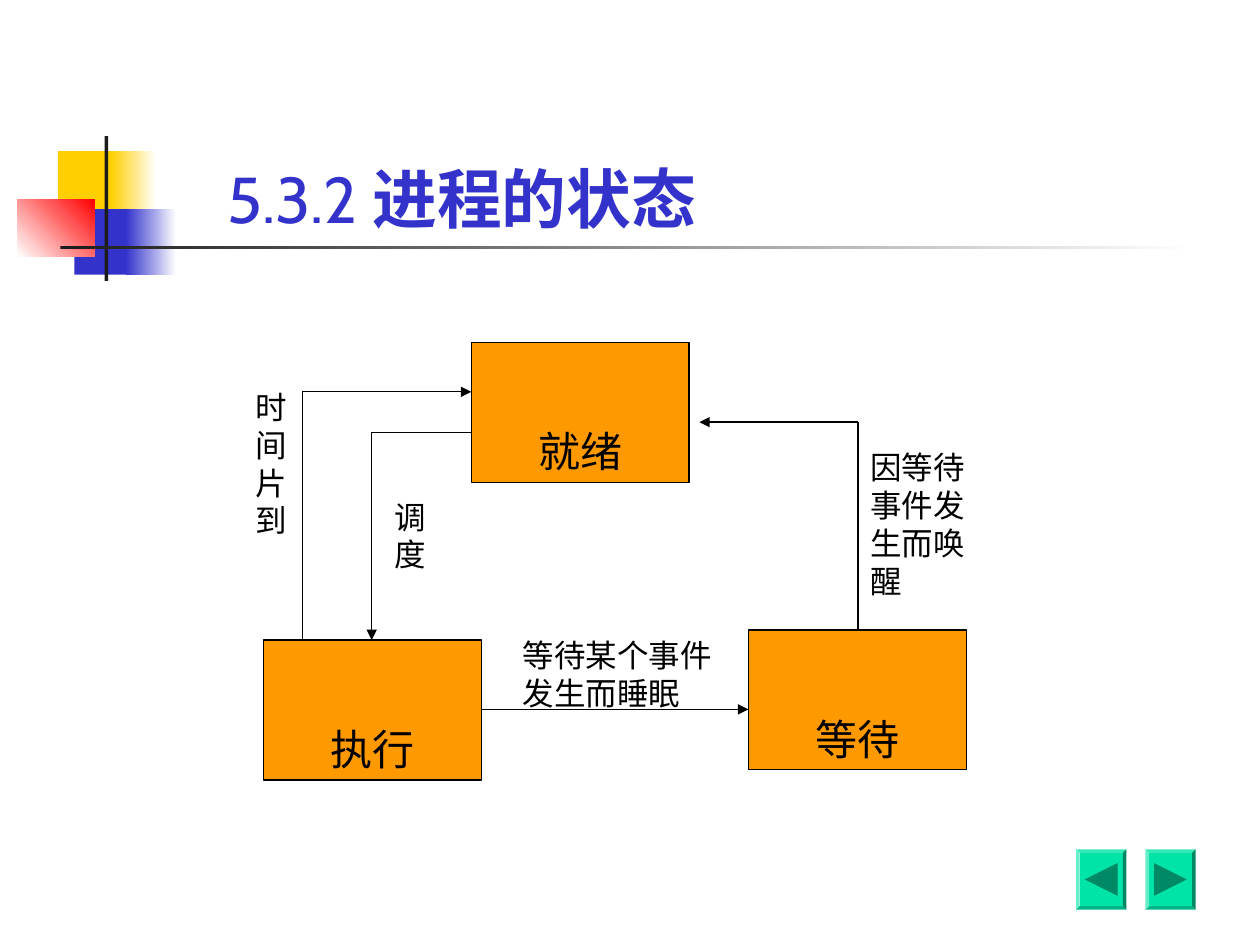
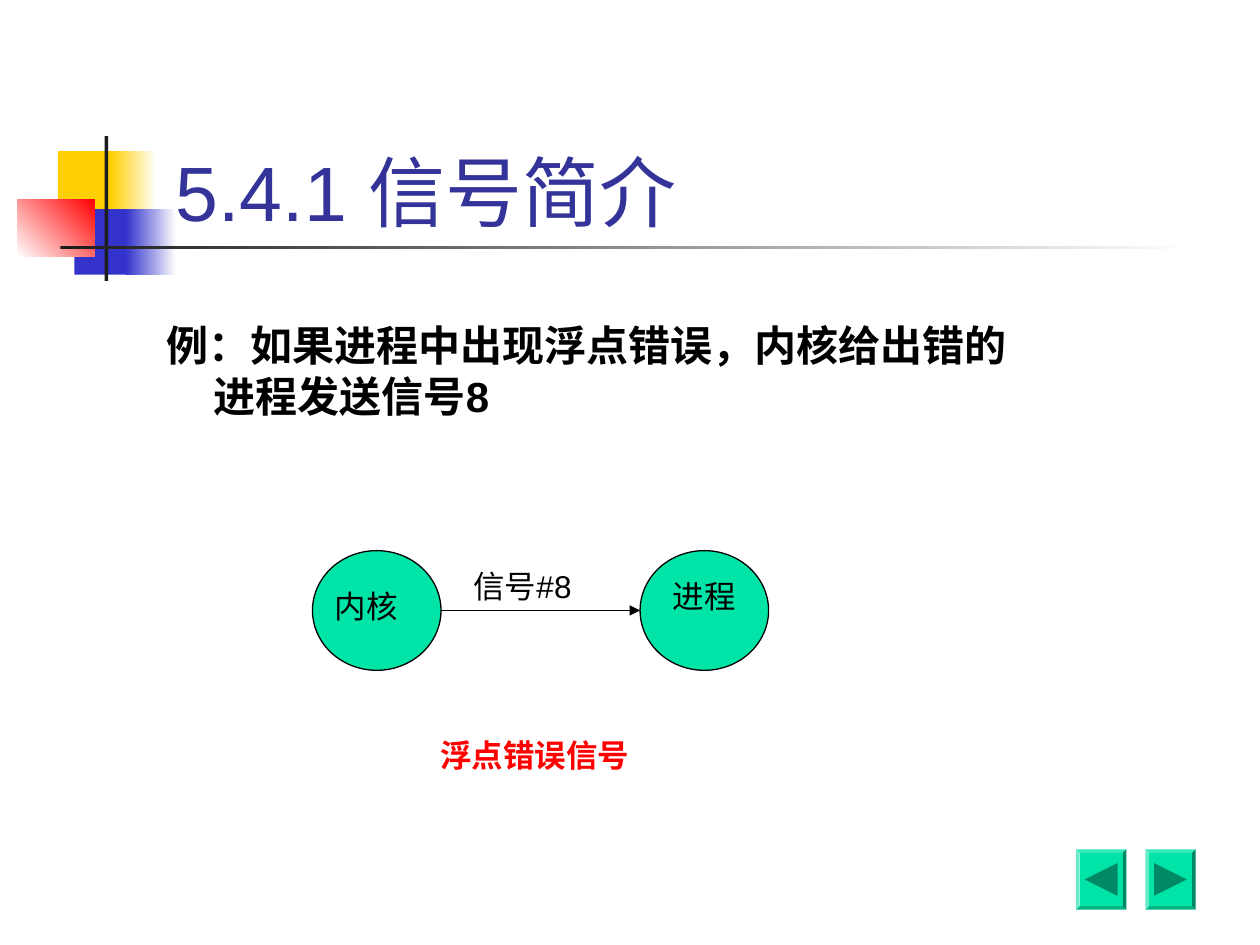
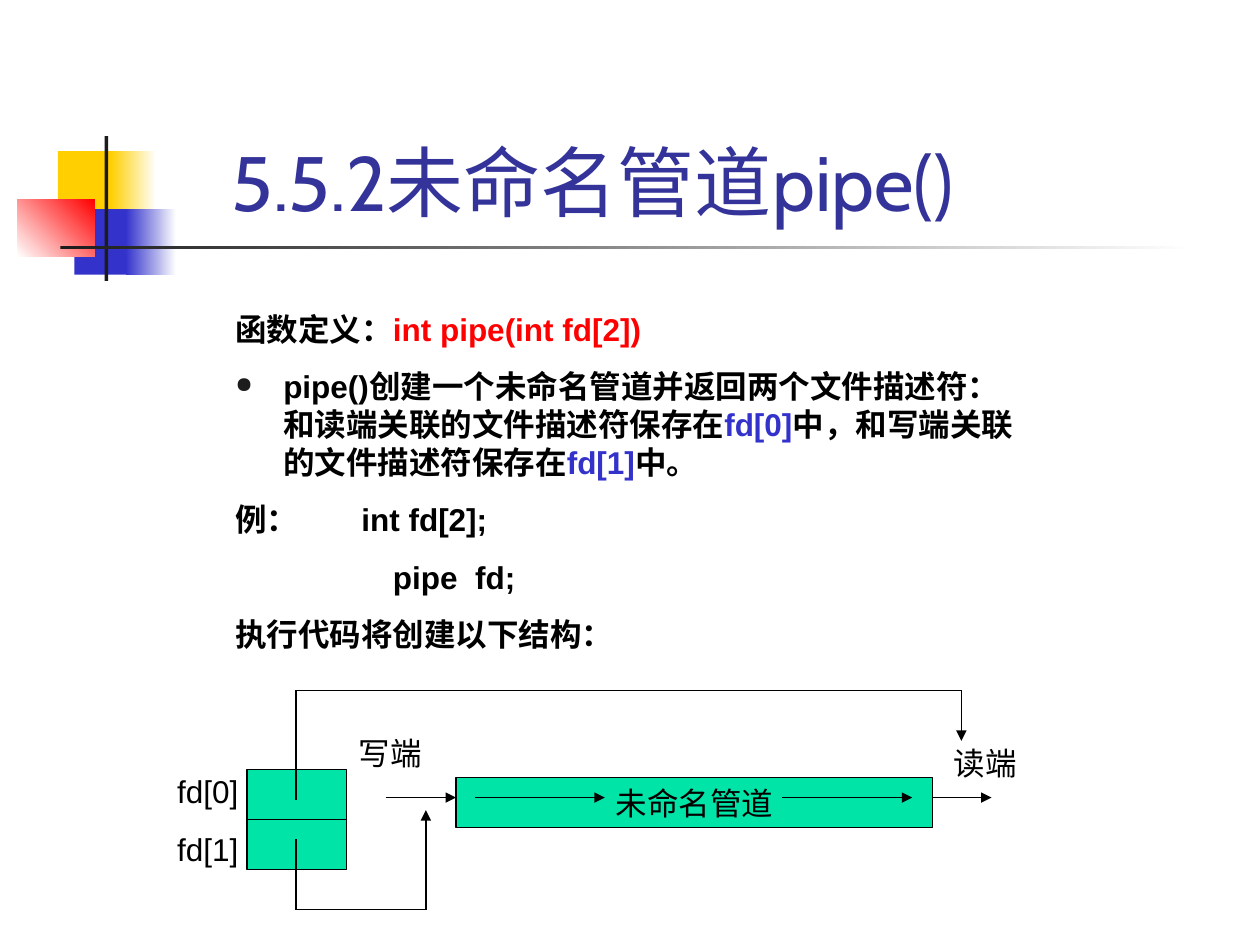
from dataclasses import dataclass
from lxml import etree
from pptx import Presentation, util as u
from pptx.dml.color import RGBColor
from pptx.enum import lang, shapes, text
from pptx.oxml.ns import qn


@dataclass(frozen=True)
class Theme:
    black: str = "000000"
    ink: str = "1C1C1C"
    white: str = "FFFFFF"
    red: str = "FF0000"
    yellow: str = "FFCF01"
    blue: str = "3333CC"
    navy: str = "333399"
    orange: str = "FF9900"
    green: str = "00E4A8"
    dark_green: str = "008965"
    body_font: str = "Arial"
    title_font: str = "Cabin"
    small: float = 18
    large: float = 24
    title: float = 44
    title_small: float = 37
    gap: float = 11.2
    line: float = 0.75
    hang: float = 0.38


T = Theme()
SHAPE = shapes.MSO_SHAPE
LEFT, CENTER, RIGHT = text.PP_ALIGN.LEFT, text.PP_ALIGN.CENTER, text.PP_ALIGN.RIGHT
TOP, BOTTOM = text.MSO_ANCHOR.TOP, text.MSO_ANCHOR.BOTTOM

BLOCKS = [
    ((0.46, 1.2, 0.48, 0.52), [T.yellow], 0),
    ((0.88, 1.2, 0.36, 0.52), [T.yellow, T.white], 0),
    ((0.59, 1.66, 0.46, 0.52), [T.blue], 0),
    ((1, 1.66, 0.4, 0.52), [T.blue, T.white], 0),
    ((0.14, 1.58, 0.61, 0.46), [T.white, T.red], 45),
    ((0.83, 1.08, 0.03, 1.15), [T.ink], 0),
    ((0.48, 1.95, 9, 0.03), [T.ink, T.white], 0),
]
BUTTONS = [(8.54, -1), (9.09, 1)]
BUTTON_TOP, BUTTON_W, BUTTON_H = 6.74, 0.4, 0.48

STATE_SIZE = (1.73, 1.11)
STATES = [("执行", 2.09, 5.08), ("等待", 5.94, 5), ("就绪", 3.74, 2.72)]
STATE_ROUTES = [
    [(3.82, 5.63), (5.94, 5.63)],
    [(3.74, 3.43), (2.95, 3.43), (2.95, 5.08)],
    [(2.4, 5.08), (2.4, 3.11), (3.74, 3.11)],
    [(6.81, 5), (6.81, 3.35), (5.55, 3.35)],
]
STATE_LABELS = [
    ("时间片到", (1.93, 3.03, 0.47, 1.3)),
    ("调度", (3.03, 3.9, 0.55, 0.7)),
    ("因等待事件发生而唤醒", (6.81, 3.51, 1.1, 1.3)),
    ("等待某个事件发生而睡眠", (4.05, 5, 1.81, 0.7)),
]

SIGNAL_EXAMPLE = "例：如果进程中出现浮点错误，内核给出错的进程发送信号8"
CIRCLE_LEFTS, CIRCLE_TOP, CIRCLE_SIZE = (2.48, 5.08), 4.37, (1.02, 0.95)
SIGNAL_LABELS = [
    ("内核", (2.56, 4.61, 0.94, 0.4)),
    ("进程", (5.24, 4.53, 0.94, 0.4)),
    ("信号#8", (3.66, 4.45, 1.34, 0.4)),
]

PIPE_TEXT = [
    [("函数定义：", {}), ("int pipe(int fd[2])", {"color": T.red})],
    [("pipe()创建一个未命名管道并返回两个文件描述符：和读端关联的文件描述符保存在", {}),
     ("fd[0]", {"color": T.blue}),
     ("中，和写端关联的文件描述符保存在", {}),
     ("fd[1]", {"color": T.blue}),
     ("中。", {})],
    [("例：\tint fd[2];", {})],
    [("pipe  fd;", {})],
    [("执行代码将创建以下结构：", {})],
]
PIPE_LABELS = [
    ("写端", (2.75, 5.78, 1.02, 0.4)),
    ("读端", (7.47, 5.86, 1.02, 0.4)),
]
FLOW_Y = 6.33
FLOWS = [(3.77, 4.8), (6.21, 7.24), (3.06, 3.62), (7.4, 7.87)]
FD_LEFT, FD_TOP, FD_SIDE = 1.96, 6.11, 0.79
FD_MID = 2.35
FD_ROUTES = [
    [(FD_MID, 6.35), (FD_MID, 5.48), (7.63, 5.48), (7.63, 5.88)],
    [(FD_MID, 6.66), (FD_MID, 7.22), (3.38, 7.22), (3.38, 6.43)],
]


def inches(box):
    return [u.Inches(v) for v in box]


def rgb(color):
    return RGBColor.from_string(color)


def paint(sp, colors, angle=0, outline=False):
    sp.shadow.inherit = False
    if len(colors) == 1:
        sp.fill.solid()
        sp.fill.fore_color.rgb = rgb(colors[0])
    else:
        sp.fill.gradient()
        sp.fill.gradient_angle = angle
        for stop, color in zip(sp.fill.gradient_stops, colors):
            stop.color.rgb = rgb(color)
    if outline:
        sp.line.color.rgb = rgb(T.black)
        sp.line.width = u.Pt(T.line)
    else:
        sp.line.fill.background()
    return sp


def add_shape(s, box, colors, kind=SHAPE.RECTANGLE, **look):
    return paint(s.shapes.add_shape(kind, *inches(box)), colors, **look)


def write(sp, paragraphs, size=T.small, color=T.black, font=T.body_font,
          bold=False, align=LEFT, anchor=TOP, gap=T.gap):
    tf = sp.text_frame
    tf.word_wrap = True
    tf.vertical_anchor = anchor
    for i, runs in enumerate(paragraphs):
        p = tf.add_paragraph() if i else tf.paragraphs[0]
        p.alignment = align
        p.space_before = u.Pt(gap)
        for words, change in runs:
            r = p.add_run()
            r.text = words
            r.font.size = u.Pt(size)
            r.font.name = change.get("font", font)
            r.font.bold = change.get("bold", bold)
            r.font.color.rgb = rgb(change.get("color", color))
            r.font.language_id = lang.MSO_LANGUAGE_ID.SIMPLIFIED_CHINESE
    return tf


def add_text(s, paragraphs, box, **style):
    return write(s.shapes.add_textbox(*inches(box)), paragraphs, **style)


def add_labels(s, labels):
    for words, box in labels:
        add_text(s, [[(words, {})]], box)


def add_title(s, runs, box, size=T.title, color=T.navy):
    add_text(s, [runs], box, size=size, color=color, font=T.title_font,
             align=RIGHT, anchor=BOTTOM, gap=0)


def indent(p, left, first=0.0):
    pPr = p._p.get_or_add_pPr()
    pPr.set("marL", str(u.Inches(left)))
    pPr.set("indent", str(u.Inches(first)))
    return pPr


def add_bullet(pPr):
    clr = etree.SubElement(pPr, qn("a:buClr"))
    etree.SubElement(clr, qn("a:srgbClr"), val=T.ink)
    etree.SubElement(pPr, qn("a:buSzPct"), val="70000")
    etree.SubElement(pPr, qn("a:buChar"), char="●")


def add_tab(pPr, place):
    tabs = etree.SubElement(pPr, qn("a:tabLst"))
    etree.SubElement(tabs, qn("a:tab"), pos=str(u.Inches(place)), algn="l")


def add_route(s, points, arrow=True):
    for start, end in zip(points, points[1:]):
        c = s.shapes.add_connector(shapes.MSO_CONNECTOR.STRAIGHT, *inches(start + end))
        c.line.color.rgb = rgb(T.black)
        c.line.width = u.Pt(T.line)
        if arrow and end == points[-1]:
            etree.SubElement(c.line._get_or_add_ln(), qn("a:tailEnd"), type="triangle")
        etree.SubElement(c._element.spPr, qn("a:effectLst"))


def add_blocks(s):
    for box, colors, angle in BLOCKS:
        add_shape(s, box, colors, angle=angle)


def add_buttons(s):
    mid = BUTTON_TOP + BUTTON_H / 2
    for left, way in BUTTONS:
        sp = add_shape(s, (left, BUTTON_TOP, BUTTON_W, BUTTON_H), [T.green], SHAPE.BEVEL)
        sp.adjustments[0] = 0.07
        center, reach = left + BUTTON_W / 2, 0.13
        base = center - way * reach
        fb = s.shapes.build_freeform(*inches((base, mid - reach)), scale=1.0)
        fb.add_line_segments([inches((center + way * reach, mid)),
                              inches((base, mid + reach))], close=True)
        paint(fb.convert_to_shape(), [T.dark_green])


def states_slide(s):
    for name, left, top in STATES:
        sp = add_shape(s, (left, top, *STATE_SIZE), [T.orange], outline=True)
        write(sp, [[(name, {})]], size=T.large, align=CENTER, anchor=BOTTOM)
    for points in STATE_ROUTES:
        add_route(s, points)
    add_labels(s, STATE_LABELS)
    add_title(s, [("5.3.2 ", {}), ("进程的状态", {"bold": True})],
              (1.14, 0.6, 4.48, 1.33), T.title_small, T.blue)
    add_buttons(s)


def signal_slide(s):
    add_title(s, [("5.4.1 ", {"font": T.body_font}), ("信号简介", {})],
              (1.22, 0.6, 4.25, 1.33))
    tf = add_text(s, [[(SIGNAL_EXAMPLE, {})]], (1.22, 2.49, 7.17, 0.9),
                  size=T.large, bold=True)
    indent(tf.paragraphs[0], T.hang, -T.hang)
    for left in CIRCLE_LEFTS:
        add_shape(s, (left, CIRCLE_TOP, *CIRCLE_SIZE), [T.green], SHAPE.OVAL, outline=True)
    y = CIRCLE_TOP + CIRCLE_SIZE[1] / 2
    add_route(s, [(CIRCLE_LEFTS[0] + CIRCLE_SIZE[0], y), (CIRCLE_LEFTS[1], y)])
    add_labels(s, SIGNAL_LABELS)
    add_text(s, [[("浮点错误信号", {})]], (2.16, 5.79, 4.17, 0.4),
             color=T.red, bold=True, align=CENTER)
    add_buttons(s)


def pipe_slide(s):
    tf = add_text(s, PIPE_TEXT, (1.77, 2.41, 6.38, 2.83), bold=True)
    definition, result, example, call, outcome = tf.paragraphs
    for p in (definition, outcome):
        indent(p, T.hang, -T.hang)
    add_bullet(indent(result, T.hang, -T.hang))
    add_tab(indent(example, 0), 1.19)
    indent(call, 1.25)
    sp = add_shape(s, (3.62, 6.17, 3.78, 0.4), [T.green], outline=True)
    write(sp, [[("未命名管道", {})]], align=CENTER)
    for start, end in FLOWS:
        add_route(s, [(start, FLOW_Y), (end, FLOW_Y)])
    add_labels(s, PIPE_LABELS)
    add_shape(s, (FD_LEFT, FD_TOP, FD_SIDE, FD_SIDE), [T.green], outline=True)
    add_text(s, [[("fd[0]", {})], [("fd[1]", {})]], (0.98, 6.08, 1.34, 0.86), align=CENTER)
    y = FD_TOP + FD_SIDE / 2
    add_route(s, [(FD_LEFT, y), (FD_LEFT + FD_SIDE, y)], arrow=False)
    for points in FD_ROUTES:
        add_route(s, points)
    add_title(s, [("5.5.2未命名管道pipe()", {})], (1.3, 0.52, 6.37, 1.33))


def main():
    prs = Presentation()
    prs.slide_width, prs.slide_height = inches((10, 7.5))
    for build in (states_slide, signal_slide, pipe_slide):
        s = prs.slides.add_slide(prs.slide_layouts[6])
        add_blocks(s)
        build(s)
    prs.save("out.pptx")


if __name__ == "__main__":
    main()
